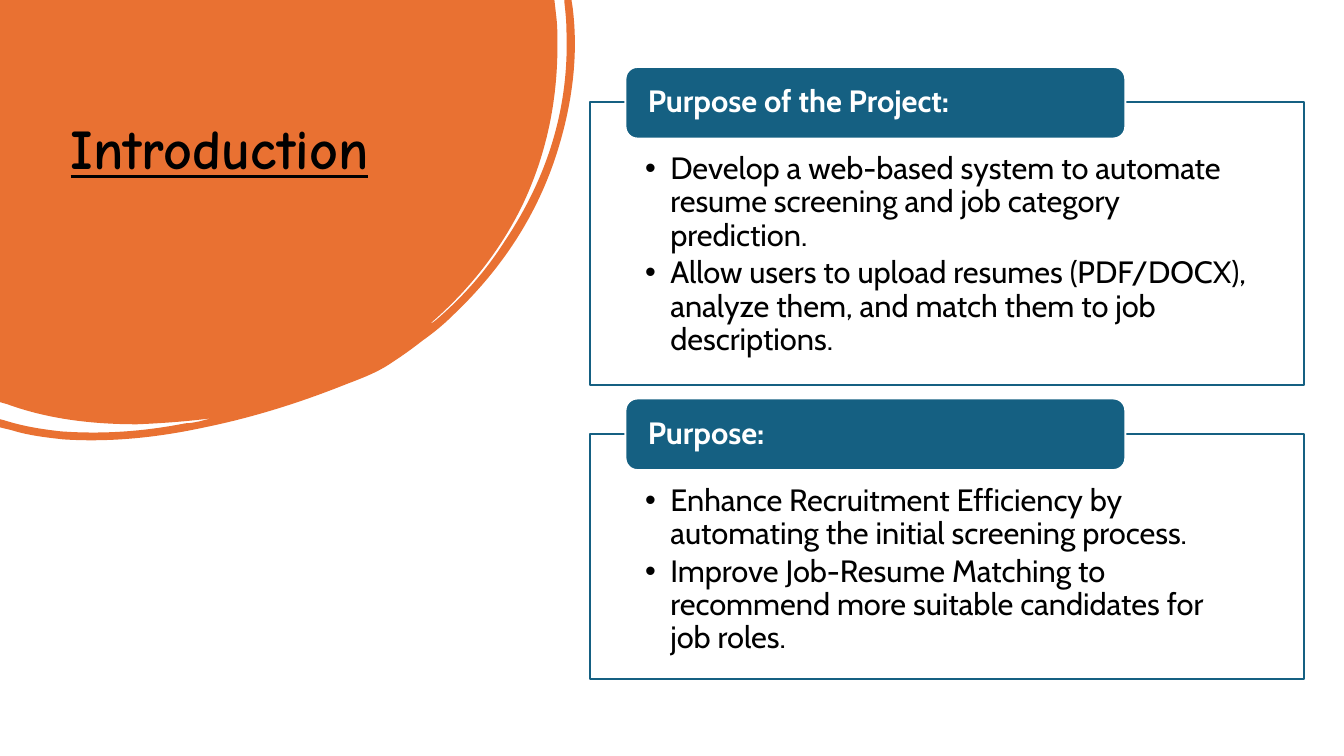
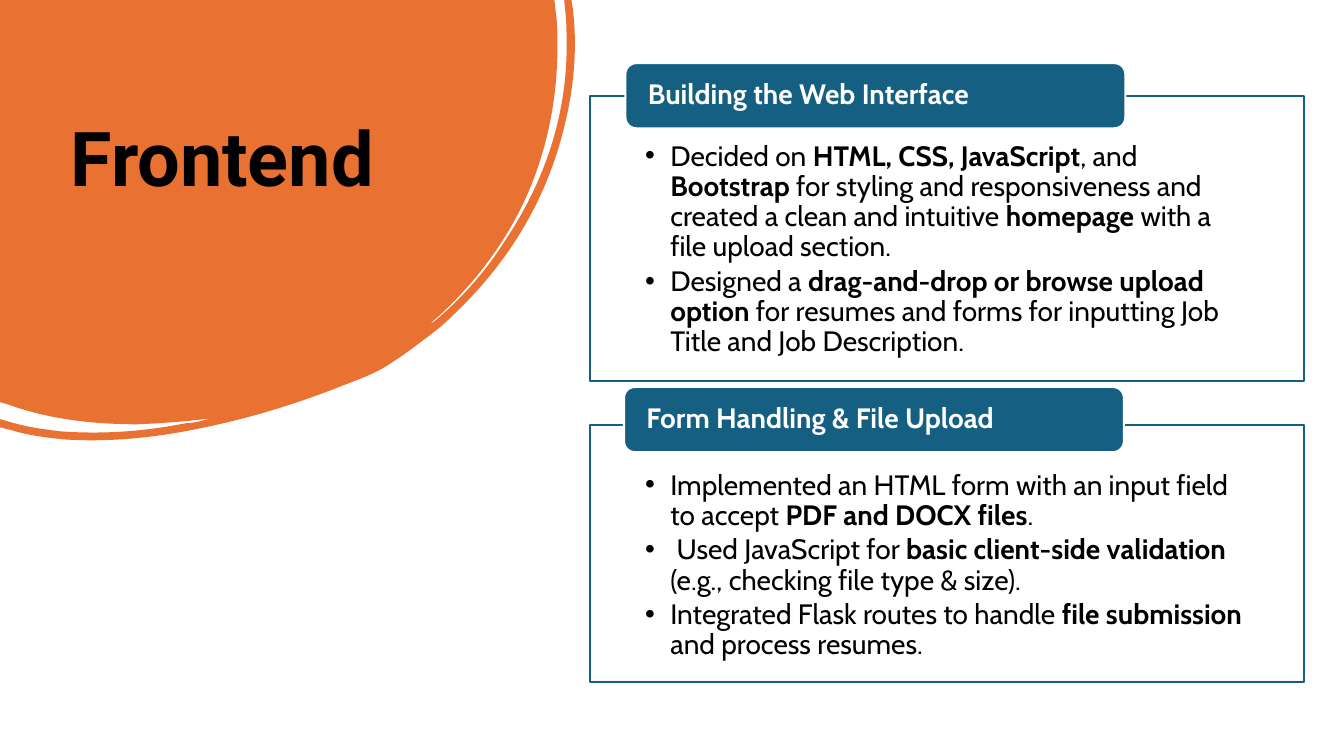
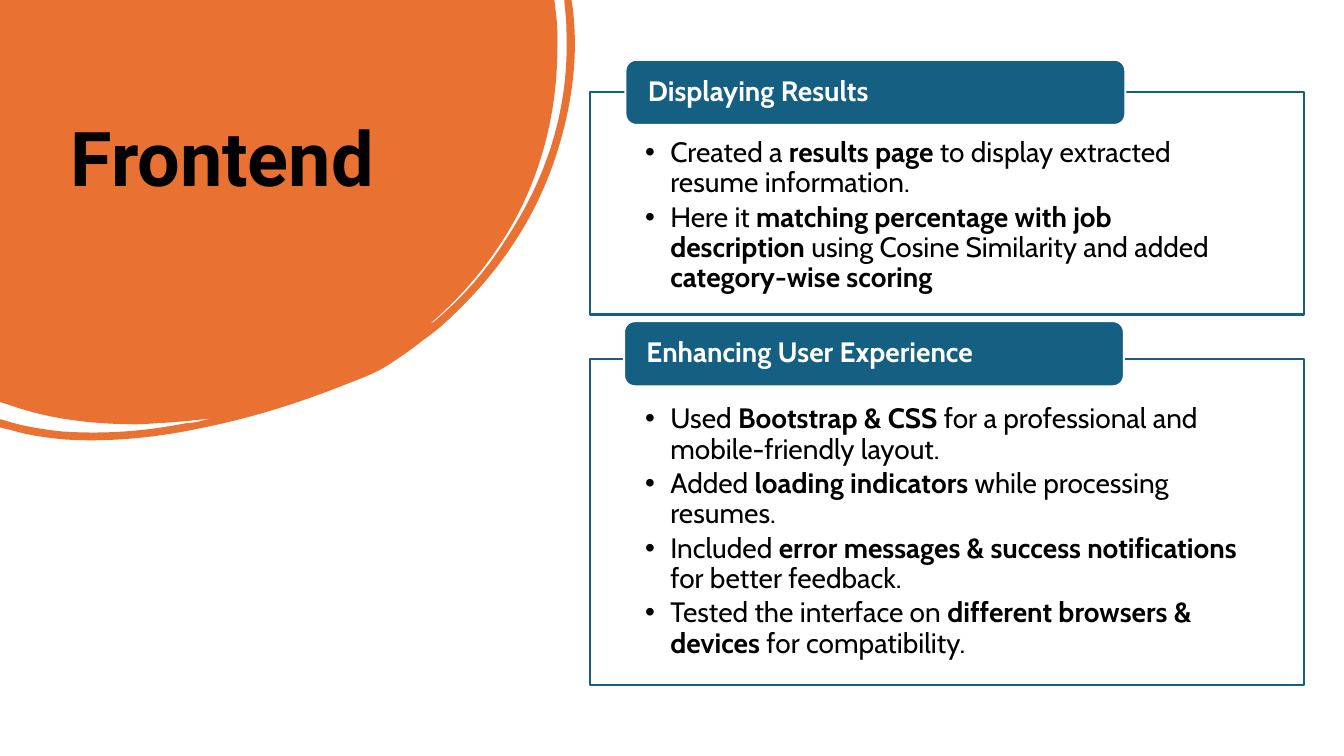
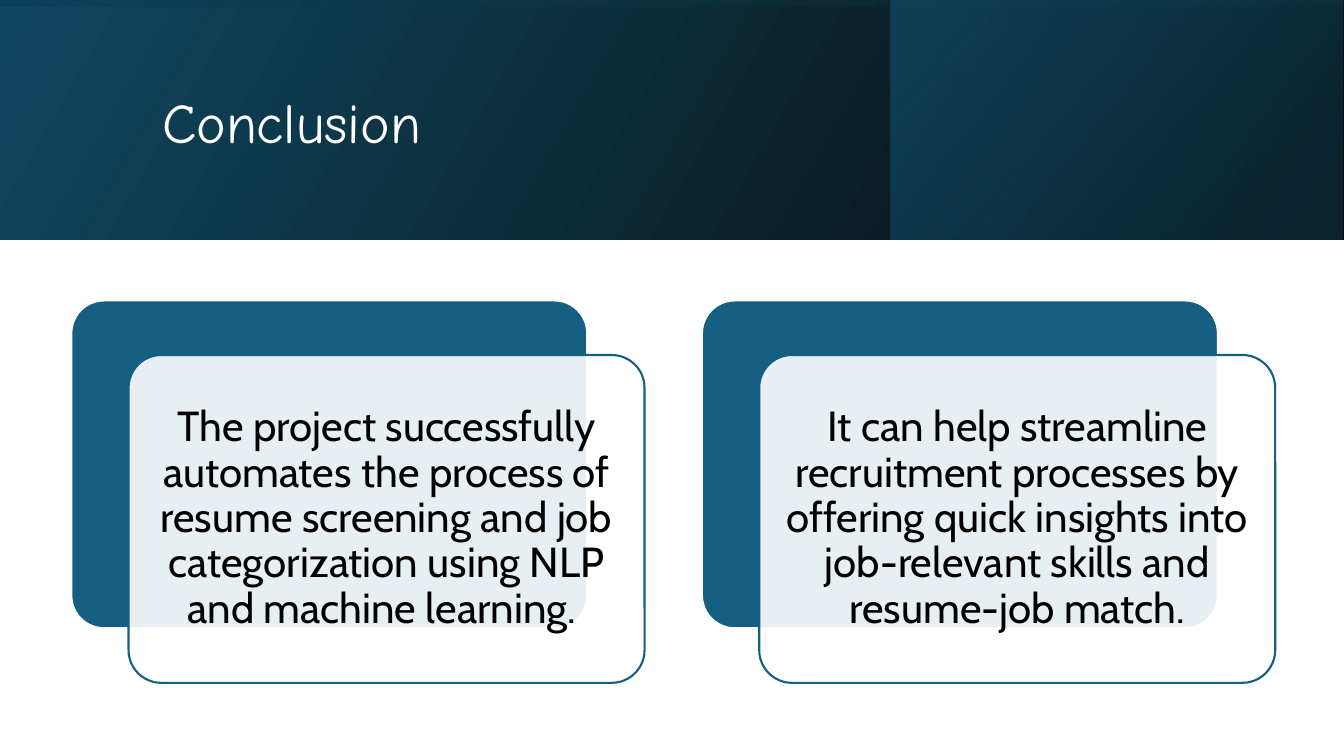
import pptx
import pptx.dml.color
import pptx.enum.shapes
import pptx.enum.text
import pptx.oxml
import pptx.oxml.ns
import pptx.util

Pt = pptx.util.Pt
SHAPES = pptx.enum.shapes.MSO_SHAPE
ANCHOR = pptx.enum.text.MSO_ANCHOR
ALIGN = pptx.enum.text.PP_ALIGN
qn = pptx.oxml.ns.qn
NAMESPACE = pptx.oxml.ns.nsdecls("a")

ORANGE, BLUE, NAVY, DEEP = "E97132", "156082", "104862", "0B3041"
WHITE, BLACK = "FFFFFF", "000000"
BODY_FONT, SCRIPT_FONT, PLAIN_FONT = "Cabin", "Comic Neue", "Roboto"
PAGE_WIDTH, PAGE_HEIGHT = 960, 540
BLOB_WIDTH, BLOB_HEIGHT, BLOB_UNITS = 411.1, 314.6, 100

BLOB_OUTLINE = [
    (396, 0), (397.4, 12.2),
    (398.2, 18.7, 398.2, 25.9, 398.2, 32.4),
    (398.2, 72.7, 390.2, 110.9, 373, 146.9),
    (357.1, 179.3, 334.8, 207.4, 307.4, 231.1),
    (308.9, 231.1, 309.6, 229.7, 311, 229),
    (330.5, 212.4, 347, 193.7, 360.7, 172.1),
    (391, 126.7, 406.8, 77, 404.6, 21.6),
    (404.6, 15.1, 403.9, 8.6, 403.2, 2.2),
    (403.2, 0), (408.2, 0), (409, 5),
    (413.3, 38.9, 409, 73.4, 398.2, 108),
    (383.8, 154.1, 357.8, 193, 322.6, 226.1),
    (316.1, 232.6, 308.9, 238.3, 301.7, 243.4),
    (294.5, 249.1, 287.3, 254.2, 278.6, 259.9),
    (270, 265.7, 259.2, 270, 247.7, 274.3),
    (215.3, 287.3, 181.4, 298.1, 146.2, 305.3),
    (113, 312.5, 79.2, 316.1, 45.4, 313.9),
    (32.4, 312.5, 20.2, 311, 8.6, 307.4),
    (0, 305.3), (0, 299.5), (2.9, 300.2),
    (16.6, 304.6, 30.2, 306.7, 43.9, 308.2),
    (74.2, 310.3, 103, 308.2, 132.5, 302.4),
    (136.1, 302.4, 139, 301.7, 142.6, 301),
    (145.4, 300.2, 148.3, 299.5, 151.2, 298.8),
    (133.9, 301, 115.9, 302.4, 97.9, 303.1),
    (66.2, 303.1, 34.6, 299.5, 5, 288.7),
    (0, 287.3),
]


def colour(value):
    return pptx.dml.color.RGBColor.from_string(value)


def set_opacity(shape, percents):
    for node, percent in zip(shape._element.spPr.iter(qn("a:srgbClr")), percents):
        node.append(pptx.oxml.parse_xml(
            f'<a:alpha {NAMESPACE} val="{percent * 1000}"/>'))


def paint(shape, fill, line=None, opacity=100):
    shape.shadow.inherit = False
    shape.fill.solid()
    shape.fill.fore_color.rgb = colour(fill)
    if opacity < 100:
        set_opacity(shape, [opacity])
    if line:
        shape.line.color.rgb = colour(line)
        shape.line.width = Pt(1.5)
    else:
        shape.line.fill.background()


def add_block(page, kind, box, *paints):
    block = page.shapes.add_shape(kind, *map(Pt, box))
    paint(block, *paints)
    return block


def add_frame(page, box, anchor=ANCHOR.TOP, insets=(7.2, 3.6, 7.2, 3.6)):
    frame = page.shapes.add_textbox(*map(Pt, box)).text_frame
    frame.word_wrap = True
    frame.vertical_anchor = anchor
    (frame.margin_left, frame.margin_top,
     frame.margin_right, frame.margin_bottom) = map(Pt, insets)
    return frame


def shrink(box, inset):
    left, top, width, height = box
    return left + inset, top + inset, width - 2 * inset, height - 2 * inset


def write_para(para, text, size, ink, font=BODY_FONT, bold=False,
               underline=False, align=ALIGN.LEFT):
    para.alignment = align
    para.line_spacing = 0.9
    for index, part in enumerate(text.split("*")):
        if part:
            span = para.add_run()
            span.text = part
            span.font.name = font
            span.font.size = Pt(size)
            span.font.bold = bold or index % 2 == 1
            span.font.underline = underline
            span.font.color.rgb = colour(ink)


def add_bullet(para):
    para.level = 1
    properties = para._p.get_or_add_pPr()
    properties.set("marL", str(Pt(18)))
    properties.set("indent", str(-Pt(18)))
    for tag in ('buFont typeface="Arial"', 'buChar char="•"'):
        properties.append(pptx.oxml.parse_xml(f"<a:{tag} {NAMESPACE}/>"))


def add_title(page, box, text, size, font, ink=BLACK, anchor=ANCHOR.TOP, **style):
    frame = add_frame(page, box, anchor)
    write_para(frame.paragraphs[0], text, size, ink, font, **style)


def bend_segment(segment, part):
    points = "".join(
        f'<a:pt x="{round(x * BLOB_UNITS)}" y="{round(y * BLOB_UNITS)}"/>'
        for x, y in zip(part[::2], part[1::2]))
    curve = pptx.oxml.parse_xml(
        f"<a:cubicBezTo {NAMESPACE}>{points}</a:cubicBezTo>")
    segment.getparent().replace(segment, curve)


def add_blob(page):
    builder = page.shapes.build_freeform(0, 0, scale=Pt(1) / BLOB_UNITS)
    builder.add_line_segments(
        [(x * BLOB_UNITS, y * BLOB_UNITS) for *_, x, y in BLOB_OUTLINE], close=True)
    blob = builder.convert_to_shape()
    blob.width, blob.height = Pt(BLOB_WIDTH), Pt(BLOB_HEIGHT)
    outline = next(blob._element.iter(qn("a:pathLst")))[0]
    outline.set("w", str(round(BLOB_WIDTH * BLOB_UNITS)))
    outline.set("h", str(round(BLOB_HEIGHT * BLOB_UNITS)))
    for segment, part in zip(outline.findall(qn("a:lnTo")), BLOB_OUTLINE):
        if len(part) == 6:
            bend_segment(segment, part)
    paint(blob, ORANGE)


def add_panel(page, box, tab_left, tab_top, size, heading, bullets):
    width = box[2]
    add_block(page, SHAPES.RECTANGLE, box, WHITE, BLUE, 90)
    frame = add_frame(page, box, ANCHOR.TOP, (39.6, size * 1.64, 39.6, 12))
    for index, text in enumerate(bullets):
        para = frame.add_paragraph() if index else frame.paragraphs[0]
        write_para(para, text, size, BLACK)
        para.space_after = Pt(size * 0.15)
        add_bullet(para)
    tab_box = (tab_left, tab_top, width * 0.7, size * 2.33)
    add_block(page, SHAPES.ROUNDED_RECTANGLE, tab_box, BLUE, WHITE)
    tab_frame = add_frame(page, shrink(tab_box, 2.4), ANCHOR.MIDDLE, (13.7, 0, 13.7, 0))
    write_para(tab_frame.paragraphs[0], heading, size, WHITE, bold=True)


def add_panel_page(deck, title, size, panels):
    page = deck.slides.add_slide(deck.slide_layouts[6])
    add_blob(page)
    add_title(page, (43.4, 82.8, 302, 63.4), **title)
    for top, height, tab_left, tab_top, heading, bullets in panels:
        add_panel(page, (421.2, top, 510.2, height), tab_left, tab_top,
                  size, heading, bullets)


def add_gradient(page, box, stops, angle, rotation=0):
    band = add_block(page, SHAPES.RECTANGLE, box, BLACK)
    band.rotation = rotation
    band._element.spPr.find(qn("a:xfrm")).set("flipH", "1")
    band.fill.gradient()
    band.fill.gradient_angle = angle
    for stop, (position, tint, _) in zip(band.fill.gradient_stops, stops):
        stop.position = position
        stop.color.rgb = colour(tint)
    set_opacity(band, [opacity for _, _, opacity in stops])


def add_header(page, height):
    add_gradient(page, (0, 0, PAGE_WIDTH, height),
                 [(0, BLACK, 96), (1, NAVY, 100)], 30)
    add_gradient(page, (636.5, 0, 322.6, height),
                 [(0.19, DEEP, 68), (1, BLUE, 48)], 40)
    middle = (PAGE_WIDTH - height) / 2
    add_gradient(page, (middle, -middle, height, PAGE_WIDTH),
                 [(0.23, NAVY, 16), (0.99, BLACK, 45)], 10, rotation=270)


def add_card(page, box, text):
    left, top, width, height = box
    front_box = (left + 40.9, top + 39, width, height)
    for card_box, paints in ((box, (BLUE, WHITE)), (front_box, (WHITE, BLUE, 90))):
        card = add_block(page, SHAPES.ROUNDED_RECTANGLE, card_box, *paints)
        card.adjustments[0] = 0.1
    frame = add_frame(page, shrink(front_box, 6.9), ANCHOR.MIDDLE, (8.6, 8.6, 8.6, 8.6))
    write_para(frame.paragraphs[0], text, 30, BLACK, align=ALIGN.CENTER)
    frame.paragraphs[0].space_after = Pt(10.5)


def add_card_page(deck, title, cards):
    page = deck.slides.add_slide(deck.slide_layouts[6])
    add_header(page, 171)
    add_title(page, (108.7, 27.4, 765.4, 123.8), title, 40, SCRIPT_FONT,
              WHITE, ANCHOR.MIDDLE)
    for index, text in enumerate(cards):
        add_card(page, (50.9 + index * 450.5, 214.6, 368.6, 234.2), text)


def main():
    deck = pptx.Presentation()
    deck.slide_width, deck.slide_height = Pt(PAGE_WIDTH), Pt(PAGE_HEIGHT)
    introduction = dict(text="Introduction", size=40, font=SCRIPT_FONT,
                        bold=True, underline=True)
    frontend = dict(text="Frontend", size=54, font=PLAIN_FONT, bold=True)

    add_panel_page(deck, introduction, 22, [
        (73.2, 201.6, 446.7, 47.8, "Purpose of the Project:", [
            "Develop a web-based system to automate resume screening and job category prediction.",
            "Allow users to upload resumes (PDF/DOCX), analyze them, and match them to job descriptions.",
        ]),
        (310.2, 175, 446.7, 284.6, "Purpose:", [
            "Enhance Recruitment Efficiency by automating the initial screening process.",
            "Improve Job-Resume Matching to recommend more suitable candidates for job roles.",
        ]),
    ])
    add_panel_page(deck, frontend, 20, [
        (68.5, 203.4, 446.7, 45.1, "Building the Web Interface", [
            "Decided on *HTML, CSS, JavaScript*, and *Bootstrap* for styling and responsiveness "
            "and created a clean and intuitive *homepage* with a file upload section.",
            "Designed a *drag-and-drop or browse upload option* for resumes and forms for "
            "inputting Job Title and Job Description.",
        ]),
        (303.6, 183.6, 445.7, 276.4, "Form Handling & File Upload", [
            "Implemented an HTML form with an input field to accept *PDF and DOCX files*.",
            " Used JavaScript for *basic client-side validation* (e.g., checking file type & size).",
            "Integrated Flask routes to handle *file submission* and process resumes.",
        ]),
    ])
    add_panel_page(deck, frontend, 20, [
        (66, 158.7, 446.7, 42.7, "Displaying Results", [
            "Created a *results page* to display extracted resume information.",
            "Here it *matching percentage with job description* using Cosine Similarity "
            "and added *category-wise scoring*",
        ]),
        (256.3, 233.3, 445.7, 229.4, "Enhancing User Experience", [
            "Used *Bootstrap & CSS* for a professional and mobile-friendly layout.",
            "Added *loading indicators* while processing resumes.",
            "Included *error messages & success notifications* for better feedback.",
            "Tested the interface on *different browsers & devices* for compatibility.",
        ]),
    ])
    add_card_page(deck, "Conclusion", [
        "The project successfully automates the process of resume screening and job "
        "categorization using NLP and machine learning. ",
        "It can help streamline recruitment processes by offering quick insights into "
        "job-relevant skills and resume-job match.",
    ])
    deck.save("out.pptx")


if __name__ == "__main__":
    main()
